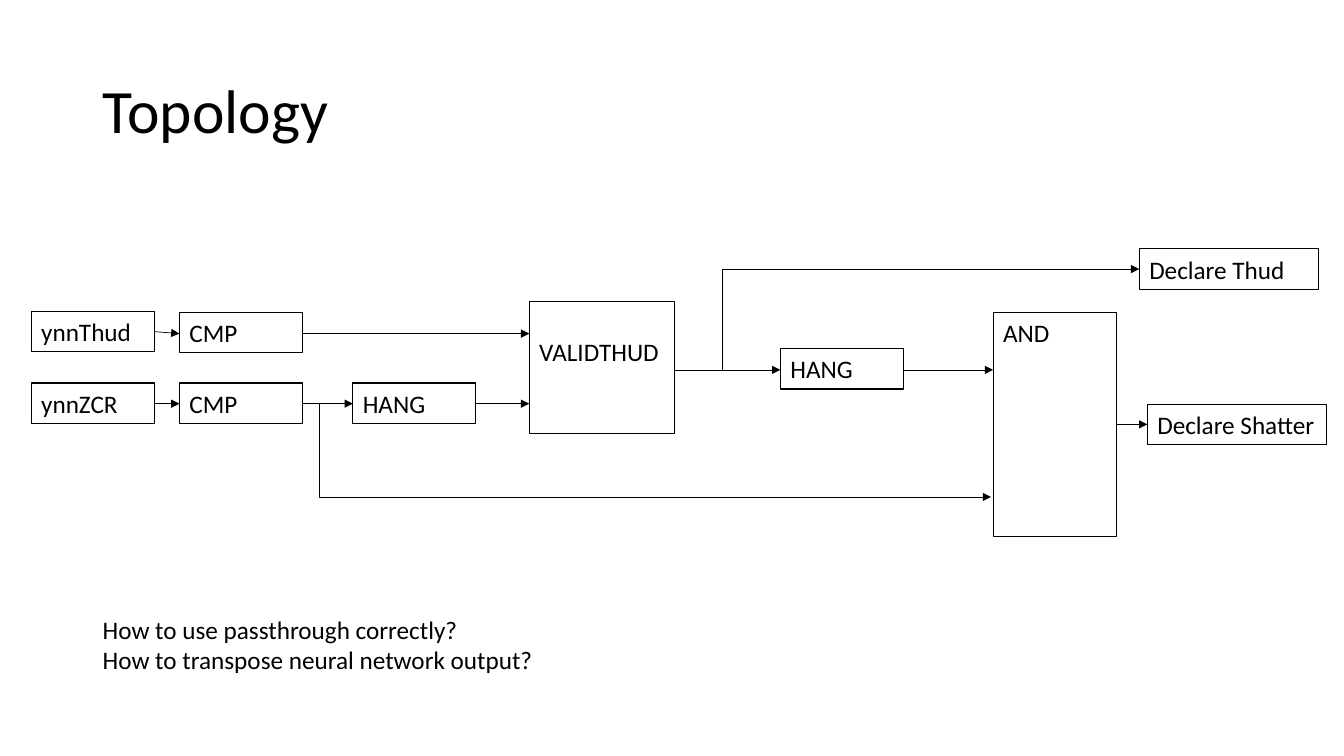
from dataclasses import dataclass

from lxml import etree
from pptx import Presentation
from pptx.dml.color import RGBColor as Rgb
from pptx.enum.shapes import MSO_CONNECTOR as Link, MSO_SHAPE as Shape
from pptx.enum.text import MSO_ANCHOR as Anchor, MSO_AUTO_SIZE as Fit, PP_ALIGN as Align
from pptx.oxml.ns import qn
from pptx.util import Inches, Pt


@dataclass(frozen=True)
class Theme:
    font: str = "Calibri"
    ink: Rgb = Rgb(0, 0, 0)
    head: int = 44
    body: int = 18
    edge: float = 0.75
    wire: float = 0.5


def write(frame, text, *, theme, size, anchor=Anchor.TOP, wrap=True, space=1.0, top=0.05):
    """Fill a text frame, one paragraph for each line of text."""
    frame.auto_size = Fit.NONE
    frame.word_wrap = wrap
    frame.vertical_anchor = anchor
    frame.margin_top = Inches(top)
    frame.text = text
    for para in frame.paragraphs:
        para.alignment = Align.LEFT
        para.line_spacing = space
        para.font.name = theme.font
        para.font.size = Pt(size)
        para.font.color.rgb = theme.ink


class Board:
    """A slide on a grid whose columns and rows are a tenth of an inch."""

    cell = Inches(0.1)

    def __init__(self, deck, theme):
        self.theme = theme
        self.slide = deck.slides.add_slide(deck.slide_layouts[5])
        self.shapes = self.slide.shapes

    def grid(self, *units):
        return [round(unit * self.cell) for unit in units]

    def title(self, text, *area):
        head = self.shapes.title
        head.left, head.top, head.width, head.height = self.grid(*area)
        write(head.text_frame, text, theme=self.theme, size=self.theme.head,
              anchor=Anchor.MIDDLE, space=0.9)

    def note(self, text, *area):
        box = self.shapes.add_textbox(*self.grid(*area))
        write(box.text_frame, text, theme=self.theme, size=self.theme.body, wrap=False)

    def block(self, text, col, row, wide=12.2, high=4, top=0.05):
        box = self.shapes.add_shape(Shape.RECTANGLE, *self.grid(col, row, wide, high))
        box.shadow.inherit = False
        box.fill.background()
        box.line.color.rgb = self.theme.ink
        box.line.width = Pt(self.theme.edge)
        write(box.text_frame, text, theme=self.theme, size=self.theme.body, top=top)

    def arrow(self, start, end, bend=None):
        """Straight arrow, or an elbow whose turn lies at a share of its width."""
        kind = Link.STRAIGHT if bend is None else Link.ELBOW
        wire = self.shapes.add_connector(kind, *self.grid(*start, *end))
        wire.line.color.rgb = self.theme.ink
        wire.line.width = Pt(self.theme.wire)
        props = wire._element.spPr
        etree.SubElement(props.find(qn("a:ln")), qn("a:tailEnd"), type="triangle")
        etree.SubElement(props, qn("a:effectLst"))
        if bend is not None:
            turns = props.find(qn("a:prstGeom")).get_or_add_avLst()
            etree.SubElement(turns, qn("a:gd"), name="adj1", fmla=f"val {round(bend * 100000)}")


def main():
    deck = Presentation()
    deck.slide_width, deck.slide_height = Inches(13.33), Inches(7.5)
    board = Board(deck, Theme())
    board.title("Topology", 9.2, 4, 115, 14.5)

    # Blocks: inputs, stages, gates and outputs
    upper, lower, mid = 31, 38, 36.7
    for text, row in (("ynnThud", upper - 0.1), ("ynnZCR", lower)):
        board.block(text, 3.1, row)
    for row in (upper, lower):
        board.block("CMP", 17.8, row)
    board.block("HANG", 35, lower)
    board.block("VALIDTHUD", 52.5, 29.9, 14.4, 13.1, top=0.35)
    board.block("HANG", 77.4, 34.6)
    board.block("AND", 98.5, upper, high=22.2)
    board.block("Declare Thud", 113, 24.7, 17.8)
    board.block("Declare Shatter", 113.8, 40.1, 17.8)

    # Straight arrows between neighbours
    thud, zcr, out = upper + 2.1, lower + 2.05, 42.1
    board.arrow((15.3, thud - 0.2), (17.8, thud))
    for row, left, right in (
        (zcr, 15.3, 17.8), (zcr, 30, 35), (zcr, 47.2, 52.5),
        (thud, 30, 52.5), (mid, 66.9, 77.4), (mid, 89.6, 98.5),
        (out, 110.7, 113.8),
    ):
        board.arrow((left, row), (right, row))

    # Branches that bypass a stage
    board.arrow((32.5, zcr), (98.3, 49.3), bend=-0.013)
    board.arrow((71.7, mid), (113, 26.7), bend=-0.002)

    # Open questions
    board.note("How to use passthrough correctly?\nHow to transpose neural network output?",
               9.2, 60.4, 45.1, 7.1)
    deck.save("out.pptx")


if __name__ == "__main__":
    main()
